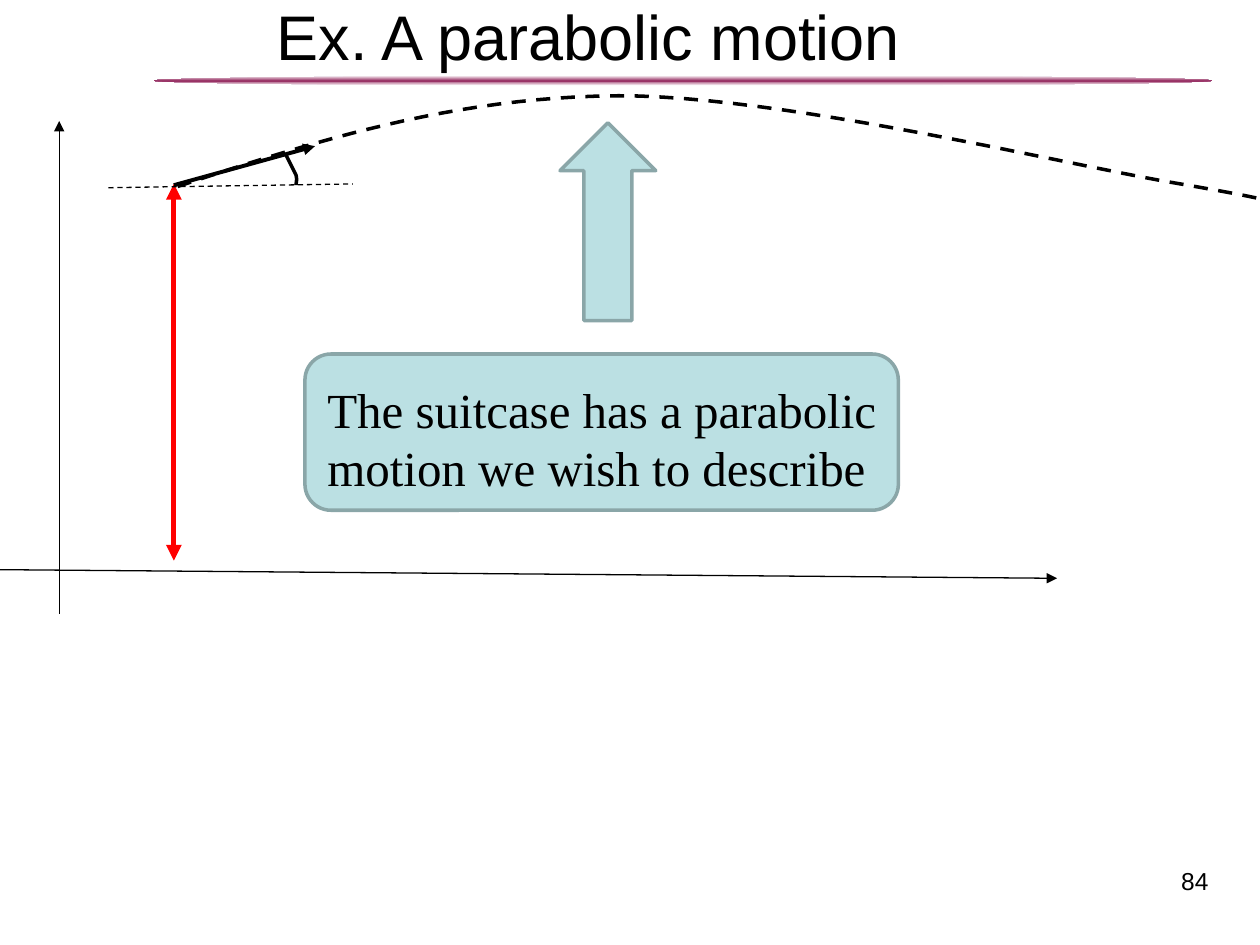
from copy import deepcopy
from dataclasses import dataclass
from typing import NamedTuple, Optional

from lxml.etree import SubElement
from pptx import Presentation
from pptx.dml.color import RGBColor
from pptx.enum.dml import MSO_LINE
from pptx.enum.shapes import MSO_CONNECTOR, MSO_SHAPE
from pptx.enum.text import PP_ALIGN
from pptx.oxml.ns import qn
from pptx.util import Inches, Pt

COLUMNS, ROWS = 10, 7.5
CELL = Inches(1)
CURVE_STEPS = 24


@dataclass(frozen=True)
class Theme:
    ink: str = "000000"
    paper: str = "FFFFFF"
    rule: str = "993366"
    height: str = "FF0000"
    panel: str = "BBE0E3"
    panel_edge: str = "8AA6A8"
    sans: str = "Arial"
    serif: str = "Times New Roman"
    title_size: float = 36
    body_size: float = 28
    number_size: float = 14
    thin: float = 0.75
    medium: float = 2
    strong: float = 2.25
    heavy: float = 3


class Point(NamedTuple):
    column: float
    row: float


class Box(NamedTuple):
    column: float
    row: float
    columns: float
    rows: float


@dataclass(frozen=True)
class Segment:
    start: Point
    end: Point
    color: str
    width: float
    start_arrow: bool = False
    end_arrow: bool = True
    dash: Optional[MSO_LINE] = None


@dataclass(frozen=True)
class Curve:
    start: Point
    beziers: tuple
    dash: Optional[MSO_LINE] = None


@dataclass(frozen=True)
class Label:
    text: str
    box: Box
    font: str
    size: float
    align: PP_ALIGN = PP_ALIGN.LEFT


THEME = Theme()

SEGMENTS = (
    # Horizontal and vertical axes
    Segment(Point(-1.38, 4.51), Point(8.39, 4.59), THEME.ink, THEME.thin),
    Segment(Point(0.47, 4.87), Point(0.47, 0.96), THEME.ink, THEME.thin),
    # Initial height, initial velocity and the level it is measured from
    Segment(Point(1.38, 1.46), Point(1.38, 4.45), THEME.height, THEME.heavy, start_arrow=True),
    Segment(Point(1.38, 1.47), Point(2.5, 1.16), THEME.ink, THEME.strong),
    Segment(Point(0.86, 1.49), Point(2.8, 1.46), THEME.ink, THEME.thin,
            end_arrow=False, dash=MSO_LINE.DASH),
)

LAUNCH_ANGLE = Curve(Point(2.35, 1.47), (
    (Point(2.35, 1.45), Point(2.36, 1.43), Point(2.35, 1.39)),
    (Point(2.33, 1.35), Point(2.27, 1.23), Point(2.27, 1.23)),
))
TRAJECTORY = Curve(Point(1.41, 1.48), (
    (Point(2.5, 1.12), Point(3.59, 0.77), Point(4.91, 0.76)),
    (Point(6.22, 0.76), Point(8.43, 1.3), Point(9.31, 1.45)),
    (Point(10.19, 1.6), Point(10.18, 1.62), Point(10.18, 1.65)),
), MSO_LINE.DASH)

TITLE = Label("Ex. A parabolic motion ", Box(0.24, -0.07, 9, 1.25), THEME.sans,
              THEME.title_size, PP_ALIGN.CENTER)
PAGE_NUMBER = Label("84", Box(7.36, 6.82, 2.33, 0.45), THEME.sans,
                    THEME.number_size, PP_ALIGN.RIGHT)
CALLOUT = Label("The suitcase has a parabolic motion we wish to describe",
                Box(2.5, 2.96, 5.15, 1.04), THEME.serif, THEME.body_size)


def grid(*cells: float) -> list[int]:
    return [round(cell * CELL) for cell in cells]


def rgb(color: str) -> RGBColor:
    return RGBColor.from_string(color)


def style_line(line, color: str, width: float, dash: Optional[MSO_LINE] = None) -> None:
    line.color.rgb = rgb(color)
    line.width = Pt(width)
    if dash is not None:
        line.dash_style = dash


def draw_rule(slide, box: Box) -> None:
    ellipse = slide.shapes.add_shape(MSO_SHAPE.OVAL, *grid(*box))
    ellipse.shadow.inherit = False
    ellipse.line.fill.background()
    ellipse.fill.gradient()
    ellipse.fill.gradient_angle = 90
    stop_list = ellipse._element.spPr.find(qn("a:gradFill")).find(qn("a:gsLst"))
    stop_list.insert(1, deepcopy(stop_list[0]))
    colors = (THEME.paper, THEME.rule, THEME.paper)
    for stop, position, color in zip(ellipse.fill.gradient_stops, (0, 0.5, 1), colors):
        stop.position = position
        stop.color.rgb = rgb(color)


def draw_panel(slide, kind: MSO_SHAPE, box: Box, rotation: float = 0) -> None:
    shape = slide.shapes.add_shape(kind, *grid(*box))
    shape.rotation = rotation
    shape.shadow.inherit = False
    shape.fill.solid()
    shape.fill.fore_color.rgb = rgb(THEME.panel)
    style_line(shape.line, THEME.panel_edge, THEME.medium)


def draw_segment(slide, segment: Segment) -> None:
    connector = slide.shapes.add_connector(
        MSO_CONNECTOR.STRAIGHT, *grid(*segment.start, *segment.end))
    style_line(connector.line, segment.color, segment.width, segment.dash)
    properties = connector._element.spPr
    outline = properties.find(qn("a:ln"))
    for tag, shown in (("a:headEnd", segment.start_arrow), ("a:tailEnd", segment.end_arrow)):
        if shown:
            SubElement(outline, qn(tag), type="triangle")
    SubElement(properties, qn("a:effectLst"))


def bezier_point(points: tuple, share: float) -> Point:
    rest = 1 - share
    weights = (rest ** 3, 3 * rest ** 2 * share, 3 * rest * share ** 2, share ** 3)
    return Point(*(sum(w * value for w, value in zip(weights, axis)) for axis in zip(*points)))


def draw_curve(slide, curve: Curve) -> None:
    vertices, start = [], curve.start
    for bezier in curve.beziers:
        vertices += [grid(*bezier_point((start, *bezier), step / CURVE_STEPS))
                     for step in range(1, CURVE_STEPS + 1)]
        start = bezier[-1]
    builder = slide.shapes.build_freeform(*grid(*curve.start))
    builder.add_line_segments(vertices, close=False)
    shape = builder.convert_to_shape()
    shape.shadow.inherit = False
    shape.fill.background()
    style_line(shape.line, THEME.ink, THEME.medium, curve.dash)


def draw_label(slide, label: Label) -> None:
    frame = slide.shapes.add_textbox(*grid(*label.box)).text_frame
    frame.word_wrap = True
    paragraph = frame.paragraphs[0]
    paragraph.text = label.text
    paragraph.alignment = label.align
    paragraph.font.name = label.font
    paragraph.font.size = Pt(label.size)
    paragraph.font.color.rgb = rgb(THEME.ink)


def main() -> None:
    presentation = Presentation()
    presentation.slide_width, presentation.slide_height = grid(COLUMNS, ROWS)
    slide = presentation.slides.add_slide(presentation.slide_layouts[6])

    # Heading and page number
    draw_rule(slide, Box(1.22, 0.6, 8.4, 0.08))
    draw_panel(slide, MSO_SHAPE.ROUNDED_RECTANGLE, Box(2.42, 2.81, 4.71, 1.24))
    draw_label(slide, TITLE)
    draw_label(slide, PAGE_NUMBER)

    # Motion diagram
    for segment in SEGMENTS:
        draw_segment(slide, segment)
    for curve in (LAUNCH_ANGLE, TRAJECTORY):
        draw_curve(slide, curve)

    # Callout text and the arrow pointing up at the trajectory
    draw_label(slide, CALLOUT)
    draw_panel(slide, MSO_SHAPE.RIGHT_ARROW, Box(4.04, 1.38, 1.57, 0.76), rotation=270)

    presentation.save("out.pptx")


if __name__ == "__main__":
    main()
